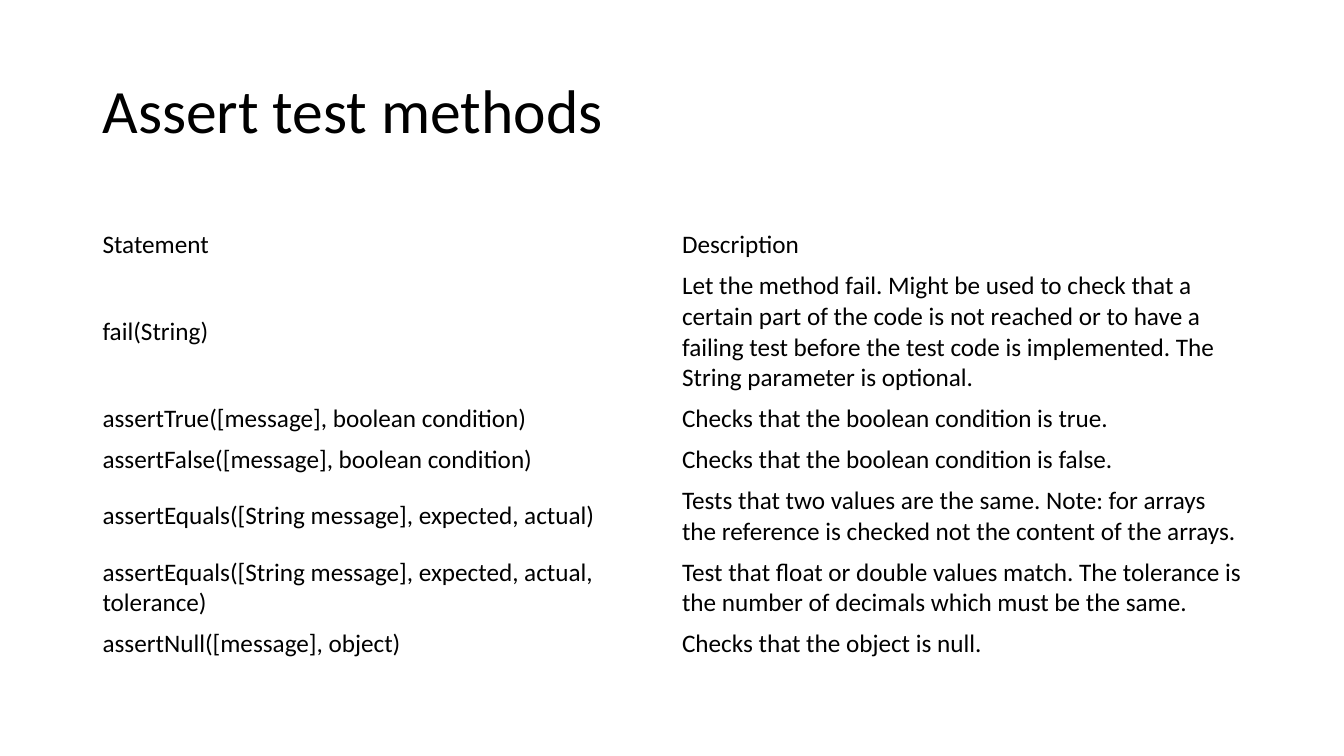
from dataclasses import dataclass

from pptx import Presentation
from pptx import util as u
from pptx.dml.color import RGBColor
from pptx.enum import text


@dataclass(frozen=True)
class Theme:
    """Colours, font and type sizes of the slide."""
    ink: RGBColor = RGBColor(0, 0, 0)
    paper: RGBColor = RGBColor(255, 255, 255)
    font: str = "Calibri"
    title_size: int = 44
    body_size: int = 18


THEME = Theme()
LINE_HEIGHT, ROW_PADDING = 0.77, 0.25  # centimetres

# Statement, description, lines needed by the taller cell
METHODS = [
    ("Statement", "Description", 1),
    ("fail(String)",
     "Let the method fail. Might be used to check that a certain part of the "
     "code is not reached or to have a failing test before the test code is "
     "implemented. The String parameter is optional.", 4),
    ("assertTrue([message], boolean condition)",
     "Checks that the boolean condition is true.", 1),
    ("assertFalse([message], boolean condition)",
     "Checks that the boolean condition is false.", 1),
    ("assertEquals([String message], expected, actual)",
     "Tests that two values are the same. Note: for arrays the reference is "
     "checked not the content of the arrays.", 2),
    ("assertEquals([String message], expected, actual, tolerance)",
     "Test that float or double values match. The tolerance is the number of "
     "decimals which must be the same.", 2),
    ("assertNull([message], object)", "Checks that the object is null.", 1),
]


def style_paragraph(paragraph, size):
    """Give a paragraph the theme's font and colour, left aligned."""
    paragraph.alignment = text.PP_ALIGN.LEFT
    paragraph.font.name = THEME.font
    paragraph.font.size = u.Pt(size)
    paragraph.font.bold = False
    paragraph.font.color.rgb = THEME.ink


def place_title(slide, wording, left, top, width, height):
    """Fill the title placeholder and fit it to the given box."""
    title = slide.shapes.title
    title.left, title.top = u.Cm(left), u.Cm(top)
    title.width, title.height = u.Cm(width), u.Cm(height)
    frame = title.text_frame
    frame.text = wording
    frame.word_wrap = True
    frame.vertical_anchor = text.MSO_ANCHOR.MIDDLE
    frame.paragraphs[0].line_spacing = 0.9
    style_paragraph(frame.paragraphs[0], THEME.title_size)


def place_methods(slide, methods, left, top, width):
    """Add the two-column method table, each row as tall as its text."""
    heights = [ROW_PADDING + LINE_HEIGHT * lines for *_, lines in methods]
    table = slide.shapes.add_table(
        len(methods), 2, u.Cm(left), u.Cm(top), u.Cm(width), u.Cm(sum(heights))
    ).table
    table.first_row = table.horz_banding = False
    for row, height, (*wordings, _) in zip(table.rows, heights, methods):
        row.height = u.Cm(height)
        for cell, wording in zip(row.cells, wordings):
            cell.text = wording
            cell.vertical_anchor = text.MSO_ANCHOR.MIDDLE
            cell.fill.solid()
            cell.fill.fore_color.rgb = THEME.paper
            style_paragraph(cell.text_frame.paragraphs[0], THEME.body_size)


def build_slide(deck):
    """Add the slide with its title and method table."""
    slide = deck.slides.add_slide(deck.slide_layouts[5])
    slide.background.fill.solid()
    slide.background.fill.fore_color.rgb = THEME.paper
    place_title(slide, "Assert test methods", 2.33, 1.01, 29.21, 3.68)
    place_methods(slide, METHODS, 2.33, 5.66, 29.21)


deck = Presentation()
deck.slide_width, deck.slide_height = u.Cm(33.87), u.Cm(19.05)
build_slide(deck)
deck.save("out.pptx")
